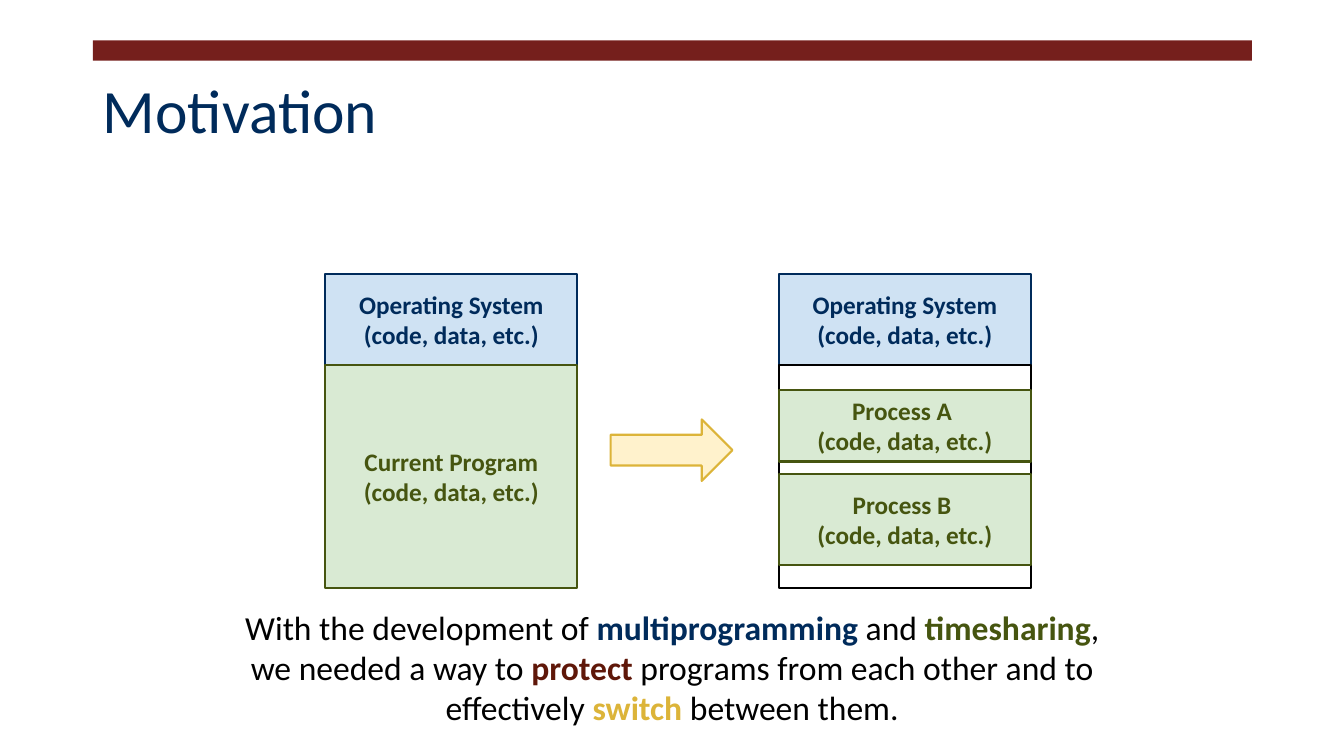
from pptx import Presentation
from pptx.dml.color import RGBColor
from pptx.enum import shapes, text
from pptx.util import Cm, Pt

COLORS = {
    "maroon": "751F1C", "navy": "002B5B", "sky": "CFE2F3",
    "olive": "465510", "mint": "D9EAD3", "black": "000000", "white": "FFFFFF",
    "rust": "5F1709", "gold": "DCB439", "cream": "FFF2CC",
}
FONT = "Calibri"
TITLE = "Motivation"
DETAIL = "(code, data, etc.)"

# Each memory: left edge and blocks of (label lines, offset, height, fill, ink), in cm
OS_BLOCK = ([f"Operating System {DETAIL}"], 0, 2.29, "sky", "navy")
MEMORIES = [
    (8.2, [OS_BLOCK,
           ([f"Current Program {DETAIL}"], 2.29, 5.61, "mint", "olive")]),
    (19.63, [OS_BLOCK,
             ([], 2.29, 5.61, "white", "black"),
             (["Process A ", DETAIL], 2.92, 1.8, "mint", "olive"),
             (["Process B ", DETAIL], 5.03, 2.29, "mint", "olive")]),
]
MEMORY_TOP, MEMORY_WIDTH = 6.91, 6.35

# Caption runs: wording, colour, bold
CAPTION = [
    ("With the development of ", "black", False),
    ("multiprogramming", "navy", True),
    (" and ", "black", False),
    ("timesharing", "olive", True),
    (", we needed a way to ", "black", False),
    ("protect", "rust", True),
    (" programs from each other and to effectively ", "black", False),
    ("switch", "gold", True),
    (" between them.", "black", False),
]

FRAME_FORMAT = {
    "word_wrap": True, "auto_size": text.MSO_AUTO_SIZE.NONE,
    "vertical_anchor": text.MSO_ANCHOR.MIDDLE,
    "margin_left": Cm(0.25), "margin_right": Cm(0.25),
    "margin_top": Cm(0.25), "margin_bottom": Cm(0.25),
}


def rgb(name):
    return RGBColor.from_string(COLORS[name])


def format_frame(frame, align):
    """Apply the shared frame settings and return the first paragraph."""
    for key, value in FRAME_FORMAT.items():
        setattr(frame, key, value)
    paragraph = frame.paragraphs[0]
    paragraph.alignment = align
    return paragraph


def add_run(paragraph, wording, size, color, bold=False):
    run = paragraph.add_run()
    run.text = wording
    for key, value in {"name": FONT, "size": Pt(size), "bold": bold}.items():
        setattr(run.font, key, value)
    run.font.color.rgb = rgb(color)


def add_block(slide, kind, box, fill, ink=None):
    """Add a flat shape; box is left, top, width, height in cm."""
    block = slide.shapes.add_shape(kind, *map(Cm, box))
    block.shadow.inherit = False
    block.fill.solid()
    block.fill.fore_color.rgb = rgb(fill)
    if ink:
        block.line.color.rgb = rgb(ink)
        block.line.width = Pt(1.5)
    else:
        block.line.fill.background()
    return block


def add_title(slide):
    title = slide.shapes.title
    box = {"left": 2.34, "top": 1.02, "width": 29.21, "height": 3.68}
    for key, value in box.items():
        setattr(title, key, Cm(value))
    paragraph = format_frame(title.text_frame, text.PP_ALIGN.LEFT)
    paragraph.line_spacing = 0.9
    add_run(paragraph, TITLE, 44, "navy")


def add_memory(slide, left, blocks):
    for lines, offset, height, fill, ink in blocks:
        box = (left, MEMORY_TOP + offset, MEMORY_WIDTH, height)
        block = add_block(slide, shapes.MSO_SHAPE.RECTANGLE, box, fill, ink)
        label = format_frame(block.text_frame, text.PP_ALIGN.CENTER)
        for number, line in enumerate(lines):
            if number:
                label.add_line_break()
            add_run(label, line, 18, ink, True)


def add_caption(slide):
    caption = slide.shapes.add_textbox(*map(Cm, (5.51, 15.39, 22.86, 2.84)))
    paragraph = format_frame(caption.text_frame, text.PP_ALIGN.CENTER)
    for wording, color, bold in CAPTION:
        add_run(paragraph, wording, 24, color, bold)


def main():
    deck = Presentation()
    deck.slide_width, deck.slide_height = Cm(33.87), Cm(19.05)
    slide = deck.slides.add_slide(deck.slide_layouts[5])
    add_block(slide, shapes.MSO_SHAPE.RECTANGLE, (2.34, 1.02, 29.21, 0.51), "maroon")
    add_title(slide)
    for left, blocks in MEMORIES:
        add_memory(slide, left, blocks)
    add_caption(slide)
    add_block(slide, shapes.MSO_SHAPE.RIGHT_ARROW, (15.39, 10.57, 3.07, 1.55),
              "cream", "gold")
    deck.save("out.pptx")


if __name__ == "__main__":
    main()
